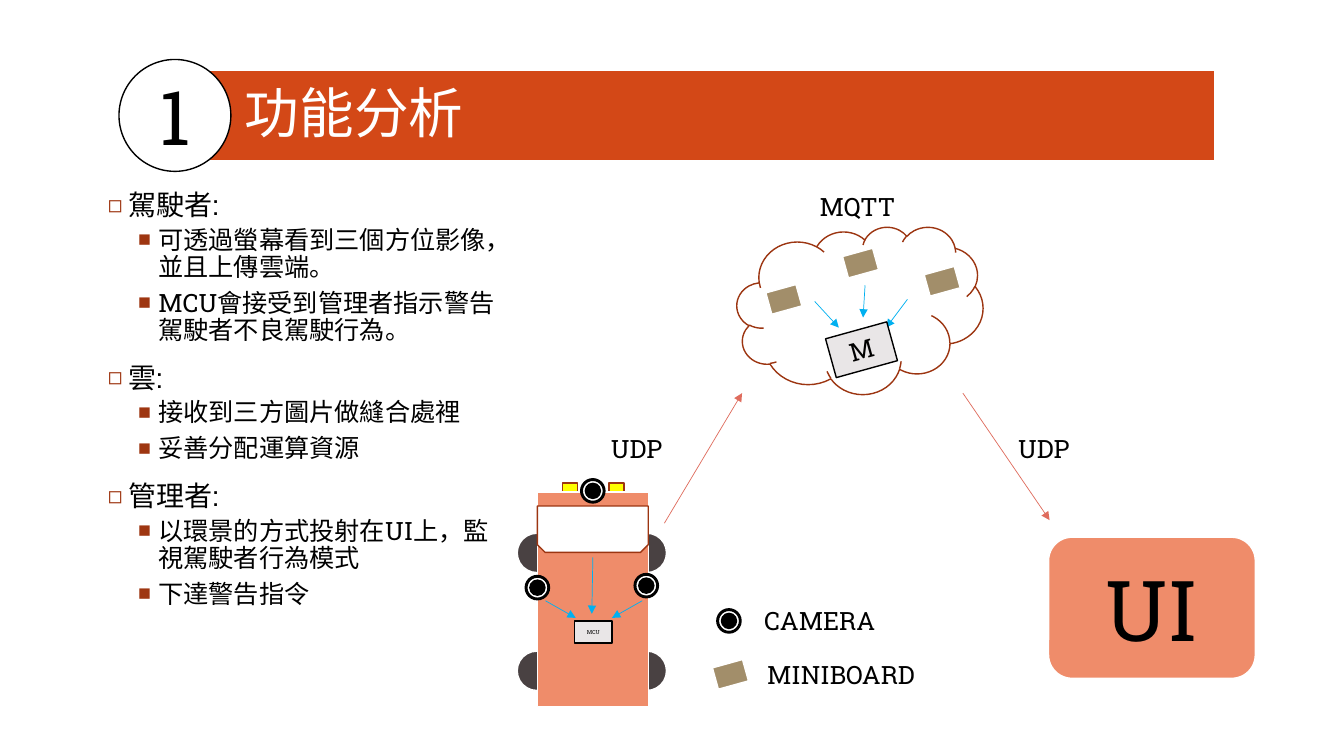
from lxml.etree import SubElement
from pptx import Presentation
from pptx.dml.color import RGBColor
from pptx.enum.shapes import MSO_CONNECTOR, MSO_SHAPE
from pptx.enum.text import MSO_ANCHOR, MSO_AUTO_SIZE, PP_ALIGN
from pptx.oxml.ns import qn
from pptx.util import Inches, Pt

FONT = "Roboto Slab"
BLACK, WHITE, YELLOW = "000000", "FFFFFF", "FFFF00"
BANNER, SALMON, RUST, BULLET = "D34817", "EF8C6A", "9C3511", "9E3611"
WHEEL, BOARD, CHIP = "494142", "A28E6A", "E9E6E7"
DATA_BLUE, LINK_RED = "00B0F0", "DF6C5D"
TILT = 344.5

FUNCTIONS = [
    ("駕駛者:", ["可透過螢幕看到三個方位影像，並且上傳雲端。",
              "MCU會接受到管理者指示警告駕駛者不良駕駛行為。"]),
    ("雲:", ["接收到三方圖片做縫合處裡", "妥善分配運算資源"]),
    ("管理者:", ["以環景的方式投射在UI上，監視駕駛者行為模式", "下達警告指令"]),
]


def color(hex_string):
    """Return the colour for a hex string."""
    return RGBColor.from_string(hex_string)


def place(shape, left, top, width, height):
    """Move and size a shape, in inches."""
    shape.left, shape.top = Inches(left), Inches(top)
    shape.width, shape.height = Inches(width), Inches(height)


def paint(shape, fill, line):
    """Set the fill (None for no fill) and a one-point outline."""
    if fill:
        shape.fill.solid()
        shape.fill.fore_color.rgb = color(fill)
    else:
        shape.fill.background()
    shape.line.color.rgb = color(line)
    shape.line.width = Pt(1)


def write(paragraph, text, size, text_color=BLACK, align=PP_ALIGN.LEFT):
    """Put one formatted run in a paragraph."""
    paragraph.alignment = align
    run = paragraph.add_run()
    run.text = text
    run.font.name = FONT
    run.font.size = Pt(size)
    run.font.color.rgb = color(text_color)


def add_shape(slide, kind, box, fill, line=WHITE, rotation=0, text=None, size=18):
    """Add a preset shape, with centred text if any is given."""
    shape = slide.shapes.add_shape(kind, *map(Inches, box))
    shape.shadow.inherit = False
    shape.rotation = rotation
    paint(shape, fill, line)
    if text:
        frame = shape.text_frame
        frame.word_wrap = False
        frame.vertical_anchor = MSO_ANCHOR.MIDDLE
        write(frame.paragraphs[0], text, size, align=PP_ALIGN.CENTER)
    return shape


def add_label(slide, left, top, width, text):
    """Add a one-line label."""
    label = slide.shapes.add_textbox(Inches(left), Inches(top), Inches(width), Inches(0.4))
    label.text_frame.word_wrap = True
    write(label.text_frame.paragraphs[0], text, 18)


def add_arrow(slide, start, end, line):
    """Add a thin arrow between two points."""
    arrow = slide.shapes.add_connector(
        MSO_CONNECTOR.STRAIGHT, *map(Inches, (*start, *end)))
    arrow.line.color.rgb = color(line)
    arrow.line.width = Pt(0.5)
    SubElement(arrow.line._get_or_add_ln(), qn("a:tailEnd"), type="triangle")
    SubElement(arrow._element.spPr, qn("a:effectLst"))


def add_camera(slide, x, y):
    """Add a camera symbol of three rings around a centre."""
    for diameter, fill in ((0.24, BLACK), (0.21, WHITE), (0.15, BLACK)):
        box = (x - diameter / 2, y - diameter / 2, diameter, diameter)
        add_shape(slide, MSO_SHAPE.OVAL, box, fill, BLACK)


def add_board(slide, left, top):
    """Add a tilted single-board computer."""
    add_shape(slide, MSO_SHAPE.RECTANGLE, (left, top, 0.31, 0.22), BOARD, rotation=TILT)


def add_bullet(paragraph, character, indent):
    """Give a paragraph a coloured bullet and a hanging indent."""
    properties = paragraph._p.get_or_add_pPr()
    properties.set("marL", str(Inches(indent)))
    properties.set("indent", str(Inches(-0.2)))
    bullet_color = SubElement(properties, qn("a:buClr"))
    SubElement(bullet_color, qn("a:srgbClr"), val=BULLET)
    SubElement(properties, qn("a:buSzPct"), val="85000")
    SubElement(properties, qn("a:buChar"), char=character)


def fill_title(slide):
    """Turn the title into a banner with a numbered circle."""
    title = slide.shapes.title
    place(title, 1.73, 0.7, 10.32, 0.89)
    paint(title, BANNER, WHITE)
    frame = title.text_frame
    frame.auto_size = MSO_AUTO_SIZE.NONE
    frame.vertical_anchor = MSO_ANCHOR.MIDDLE
    frame.margin_left = Inches(0.7)
    frame.margin_right = frame.margin_top = frame.margin_bottom = Inches(0.11)
    frame.paragraphs[0].line_spacing = 0.9
    write(frame.paragraphs[0], "功能分析", 39, WHITE)
    add_shape(slide, MSO_SHAPE.OVAL, (1.18, 0.59, 1.11, 1.11), WHITE, BLACK,
              text="1", size=54)


def fill_body(slide):
    """Write the functions of each role as a two-level list."""
    body = slide.placeholders[1]
    place(body, 0.97, 1.85, 4.07, 4.9)
    frame = body.text_frame
    frame.auto_size = MSO_AUTO_SIZE.NONE
    entries = []
    for role, tasks in FUNCTIONS:
        entries += [(0, role)] + [(1, task) for task in tasks]
    for number, (level, text) in enumerate(entries):
        paragraph = frame.add_paragraph() if number else frame.paragraphs[0]
        paragraph.level = level
        paragraph.line_spacing = 0.9
        paragraph.space_before = Pt((12, 4)[level])
        paragraph.space_after = Pt((0, 2)[level])
        add_bullet(paragraph, "◻■"[level], (0.2, 0.5)[level])
        write(paragraph, text, (20, 18)[level])


def draw_truck(slide):
    """Draw the truck with its cameras and controller."""
    for left in (5.58, 6.04):
        add_shape(slide, MSO_SHAPE.RECTANGLE, (left, 4.79, 0.15, 0.16), YELLOW, RUST)
    for top in (5.29, 6.46):
        for left in (5.13, 6.22):
            add_shape(slide, MSO_SHAPE.OVAL, (left, top, 0.39, 0.39), WHEEL)
    add_shape(slide, MSO_SHAPE.RECTANGLE, (5.33, 4.88, 1.1, 2.13), SALMON)
    add_shape(slide, MSO_SHAPE.SNIP_2_SAME_RECTANGLE, (5.33, 5.02, 1.1, 0.46),
              WHITE, RUST, rotation=180)
    for start, end in (((5.41, 5.96), (5.71, 6.13)), ((5.88, 5.53), (5.87, 6.09)),
                       ((6.37, 5.96), (6.07, 6.13))):
        add_arrow(slide, start, end, DATA_BLUE)
    add_shape(slide, MSO_SHAPE.RECTANGLE, (5.7, 6.16, 0.37, 0.22), CHIP, BLACK,
              text="MCU", size=4)
    for x, y in ((5.33, 5.83), (5.88, 4.87), (6.41, 5.81)):
        add_camera(slide, x, y)


def draw_cloud(slide):
    """Draw the cloud whose boards feed the master."""
    add_shape(slide, MSO_SHAPE.CLOUD, (7.31, 2.25, 2.44, 1.66), None, RUST)
    for start, end in (((8.08, 2.99), (8.32, 3.25)), ((9, 2.97), (8.79, 3.25)),
                       ((8.58, 2.83), (8.56, 3.15))):
        add_arrow(slide, start, end, DATA_BLUE)
    for left, top in ((7.62, 2.86), (8.38, 2.5), (9.19, 2.68)):
        add_board(slide, left, top)
    add_shape(slide, MSO_SHAPE.RECTANGLE, (8.23, 3.27, 0.63, 0.4), CHIP, BLACK,
              rotation=TILT, text="M")
    add_label(slide, 8.03, 1.85, 1.01, "MQTT")


def draw_links(slide):
    """Draw the UDP links and the user interface."""
    add_arrow(slide, (6.59, 5.19), (7.36, 3.9), LINK_RED)
    add_arrow(slide, (9.55, 3.9), (10.41, 5.16), LINK_RED)
    for left in (5.96, 10):
        add_label(slide, left, 4.25, 1.15, "UDP")
    add_shape(slide, MSO_SHAPE.ROUNDED_RECTANGLE, (10.4, 5.33, 2.05, 1.4), SALMON,
              text="UI", size=60)


def draw_legend(slide):
    """Explain the camera and board symbols."""
    add_camera(slide, 7.23, 6.16)
    add_label(slide, 7.48, 5.96, 1.44, "CAMERA")
    add_board(slide, 7.09, 6.58)
    add_label(slide, 7.51, 6.49, 2.04, "MINIBOARD")


def main():
    """Build and save the slide."""
    presentation = Presentation()
    presentation.slide_width, presentation.slide_height = Inches(13.33), Inches(7.5)
    slide = presentation.slides.add_slide(presentation.slide_layouts[1])
    fill_title(slide)
    fill_body(slide)
    draw_truck(slide)
    draw_cloud(slide)
    draw_links(slide)
    draw_legend(slide)
    presentation.save("out.pptx")


main()
